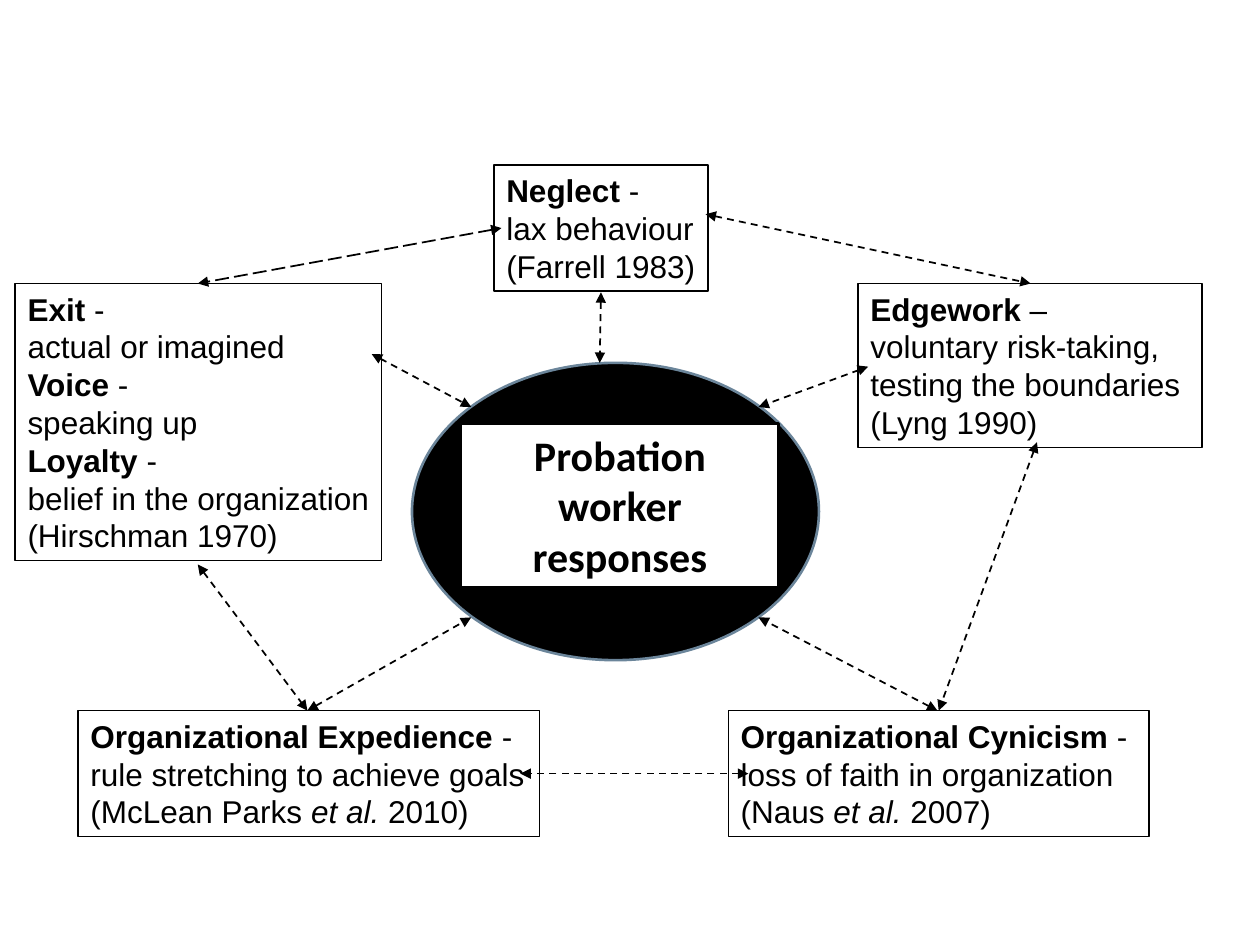
from lxml import etree
from pptx import Presentation
from pptx.dml.color import RGBColor
from pptx.enum.dml import MSO_LINE
from pptx.enum.shapes import MSO_CONNECTOR, MSO_SHAPE
from pptx.enum.text import MSO_AUTO_SIZE, PP_ALIGN
from pptx.oxml.ns import qn
from pptx.util import Inches, Pt

DASH, LONG_DASH = MSO_LINE.DASH, MSO_LINE.LONG_DASH
LEFT, CENTER = PP_ALIGN.LEFT, PP_ALIGN.CENTER
COLORS = {"ink": "000000", "paper": "FFFFFF", "rim": "6B859A"}

# Content: each paragraph is a list of (text, style) runs
BOXES = [
    ((0.12, 2.25, 2.91, 2.2), [
        [("Exit ", "bold"), ("-", "")],
        [("actual or imagined", "")],
        [("Voice ", "bold"), ("-", "")],
        [("speaking up", "")],
        [("Loyalty ", "bold"), ("-", "")],
        [("belief in the organization", "")],
        [("(Hirschman 1970)", "")],
    ]),
    ((3.92, 1.31, 1.7, 1), [
        [("Neglect ", "bold"), ("-", "")],
        [("lax behaviour", "")],
        [("(Farrell 1983)", "")],
    ]),
    ((0.62, 5.64, 3.66, 1), [
        [("Organizational Expedience", "bold"), (" -", "")],
        [("rule stretching to achieve goals", "")],
        [("(McLean Parks ", ""), ("et al. ", "italic"), ("2010)", "")],
    ]),
    ((5.78, 5.64, 3.34, 1), [
        [("Organizational Cynicism", "bold"), (" -", "")],
        [("loss of faith in organization", "")],
        [("(Naus ", ""), ("et al. ", "italic"), ("2007)", "")],
    ]),
    ((6.81, 2.25, 2.73, 1.3), [
        [("Edgework", "bold"), (" –", "")],
        [("voluntary risk-taking,", "")],
        [("testing the boundaries", "")],
        [("(Lyng 1990)", "")],
    ]),
]
CENTER_OVAL = (3.27, 2.88, 3.23, 2.36)
CENTER_LABEL = (3.66, 3.36, 2.52, 1.3)
CENTER_TEXT = [[("Probation worker responses", "bold")]]

# Two-way arrows: start, end, dash
ARROWS = [
    # Around the ring of responses
    ((3.98, 1.81), (1.57, 2.25), LONG_DASH),
    ((5.6, 1.7), (8.18, 2.25), DASH),
    ((8.23, 3.51), (7.45, 5.64), DASH),
    ((5.94, 6.14), (4.13, 6.14), DASH),
    ((1.57, 4.48), (2.44, 5.64), DASH),
    # Between the responses and the center
    ((4.77, 2.32), (4.76, 2.88), DASH),
    ((6.89, 2.91), (6.02, 3.23), DASH),
    ((2.95, 2.81), (3.74, 3.23), DASH),
    ((7.44, 5.64), (6.02, 4.9), DASH),
    ((2.44, 5.64), (3.74, 4.9), DASH),
]


def color(name):
    return RGBColor.from_string(COLORS[name])


def set_line(line, color_name, width):
    line.color.rgb = color(color_name)
    line.width = Pt(width)


def add_oval(slide, place):
    oval = slide.shapes.add_shape(MSO_SHAPE.OVAL, *map(Inches, place))
    oval.shadow.inherit = False
    oval.fill.solid()
    oval.fill.fore_color.rgb = color("ink")
    set_line(oval.line, "rim", 1.5)


def add_text(slide, place, paragraphs, font, size, border, wrap=False,
             align=LEFT):
    box = slide.shapes.add_textbox(*map(Inches, place))
    set_line(box.line, "ink", border)
    frame = box.text_frame
    frame.word_wrap = wrap
    frame.auto_size = MSO_AUTO_SIZE.SHAPE_TO_FIT_TEXT
    for index, runs in enumerate(paragraphs):
        paragraph = frame.add_paragraph() if index else frame.paragraphs[0]
        paragraph.alignment = align
        for text, style in runs:
            run = paragraph.add_run()
            run.text = text
            run.font.name = font
            run.font.size = Pt(size)
            run.font.bold = style == "bold"
            run.font.italic = style == "italic"
            run.font.color.rgb = color("ink")
    return box


def add_arrow(slide, start, end, dash):
    arrow = slide.shapes.add_connector(
        MSO_CONNECTOR.STRAIGHT, *map(Inches, start + end))
    set_line(arrow.line, "ink", 1)
    arrow.line.dash_style = dash
    properties = arrow.element.spPr
    line = properties.find(qn("a:ln"))
    for tag in ("a:headEnd", "a:tailEnd"):
        etree.SubElement(line, qn(tag), type="triangle")
    etree.SubElement(properties, qn("a:effectLst"))


def main():
    presentation = Presentation()
    presentation.slide_width = Inches(10)
    presentation.slide_height = Inches(7.5)
    slide = presentation.slides.add_slide(presentation.slide_layouts[6])

    # Center
    add_oval(slide, CENTER_OVAL)
    label = add_text(slide, CENTER_LABEL, CENTER_TEXT, "Calibri", 24, 1.5,
                     wrap=True, align=CENTER)
    label.fill.solid()
    label.fill.fore_color.rgb = color("paper")

    # Responses and the arrows that join them
    for place, paragraphs in BOXES:
        add_text(slide, place, paragraphs, "Arial", 18, 0.75)
    for start, end, dash in ARROWS:
        add_arrow(slide, start, end, dash)

    presentation.save("out.pptx")


if __name__ == "__main__":
    main()
